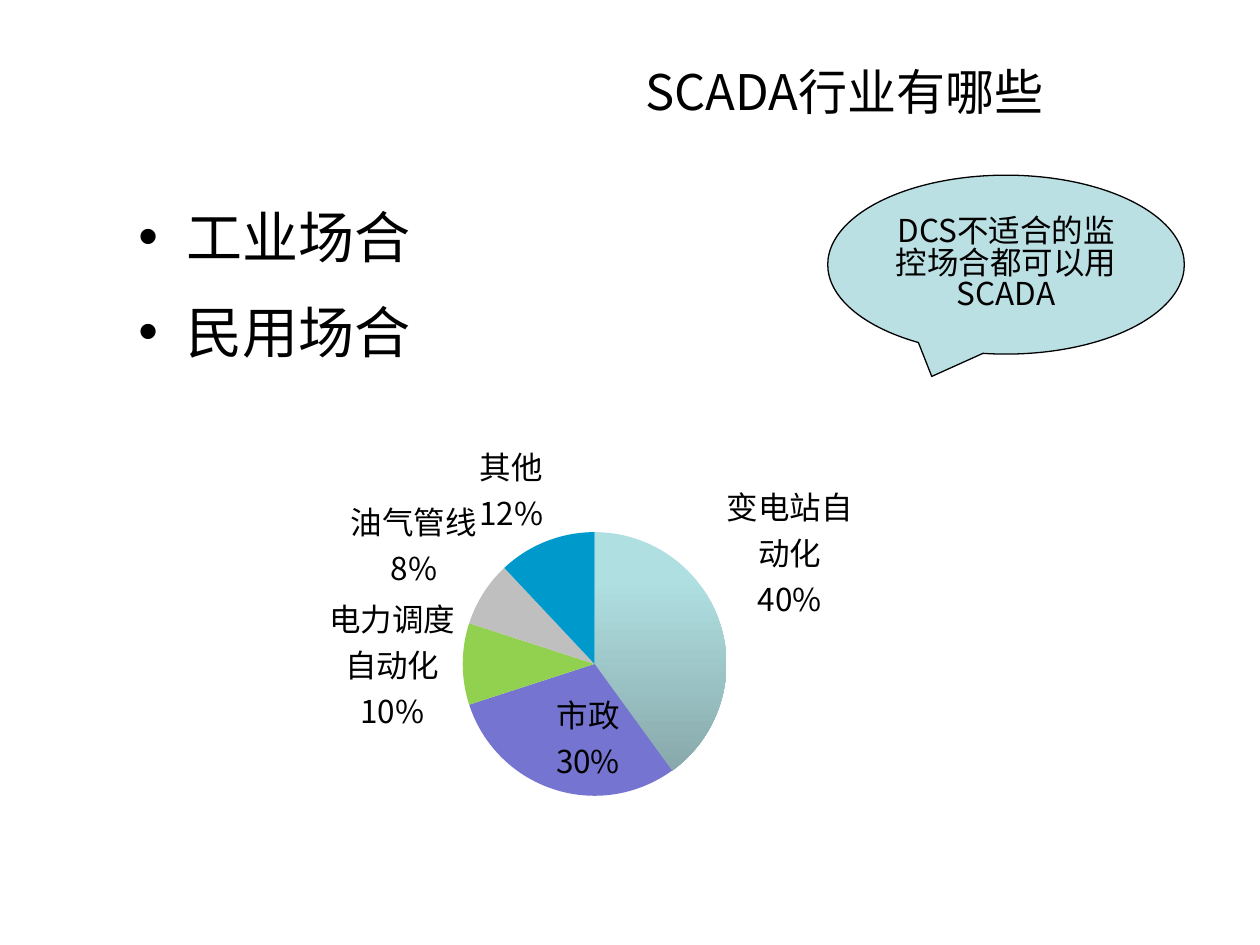
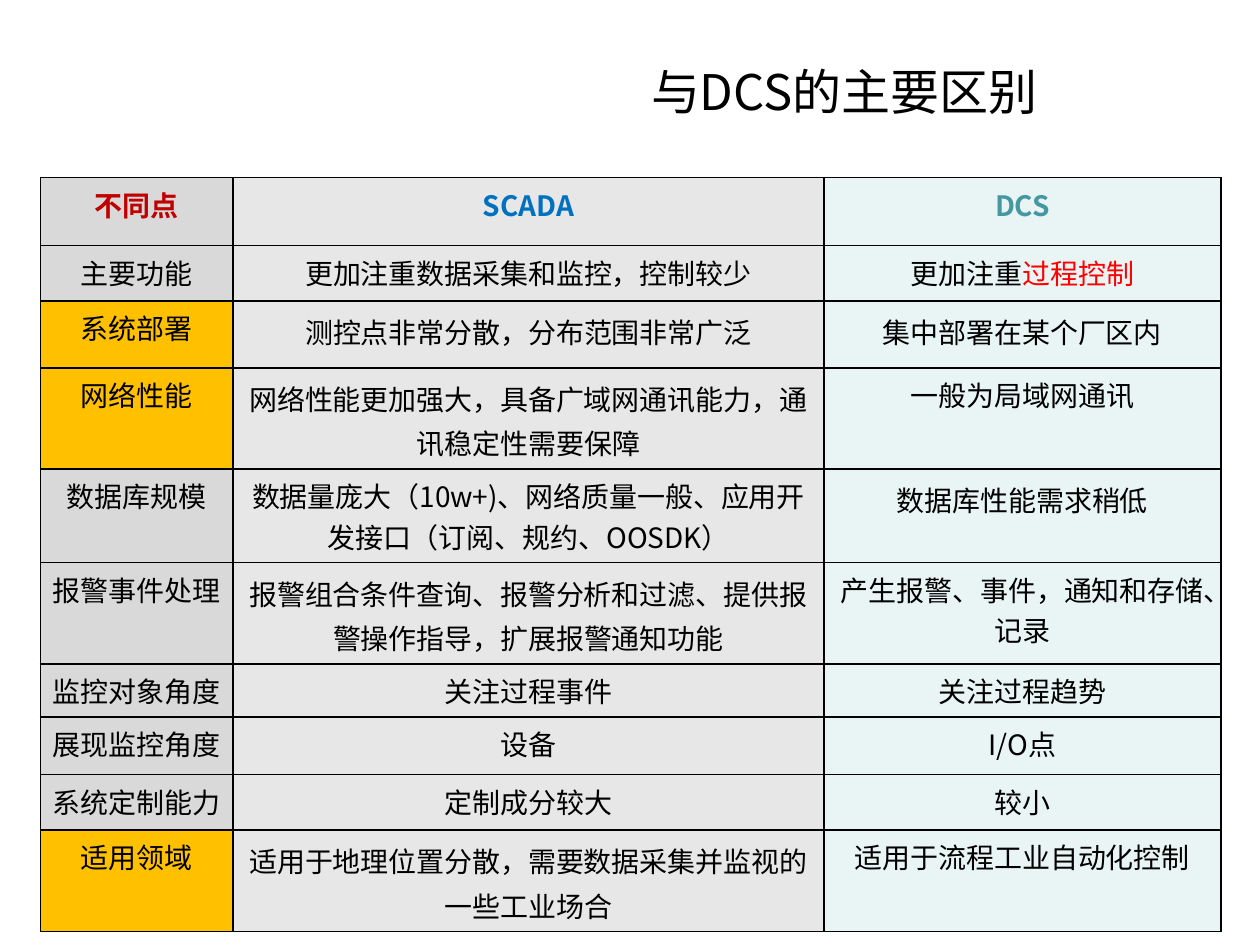
from dataclasses import dataclass

from lxml import etree
from pptx import Presentation
from pptx.chart.data import CategoryChartData
from pptx.dml.color import RGBColor
from pptx.enum.chart import XL_CHART_TYPE, XL_LABEL_POSITION
from pptx.enum.shapes import MSO_SHAPE
from pptx.enum.text import MSO_ANCHOR, PP_ALIGN
from pptx.oxml import parse_xml
from pptx.oxml.ns import nsdecls, qn
from pptx.util import Inches, Pt

CENTER, LEFT = PP_ALIGN.CENTER, PP_ALIGN.LEFT
MIDDLE = MSO_ANCHOR.MIDDLE
PIE = XL_CHART_TYPE.PIE
OUTSIDE_END, INSIDE_END = XL_LABEL_POSITION.OUTSIDE_END, XL_LABEL_POSITION.INSIDE_END
CALLOUT = MSO_SHAPE.OVAL_CALLOUT


@dataclass(frozen=True)
class Theme:
    font: str = "Noto Sans CJK SC"
    title_size: int = 28
    bullet_size: int = 32
    label_size: int = 18
    cell_size: int = 16
    black: str = "000000"
    teal: str = "BBE0E3"
    teal_light: str = "B0DFE1"
    teal_dark: str = "88A9AB"
    teal_text: str = "4597A0"
    violet: str = "7575D1"
    green: str = "92D050"
    silver: str = "BFBFBF"
    blue: str = "0099CC"
    blue_text: str = "0070C0"
    dark_red: str = "C00000"
    red: str = "FF0000"
    amber: str = "FFC000"
    gray: str = "D9D9D9"
    light_gray: str = "E7E7E7"
    pale_teal: str = "E9F4F5"


T = Theme()


def add_run(p, text, size, color=T.black, bold=False):
    r = p.add_run()
    r.text = text
    r.font.size = Pt(size)
    r.font.bold = bold
    r.font.name = T.font
    r.font.color.rgb = RGBColor.from_string(color)
    etree.SubElement(r.font._element, qn("a:ea"), typeface=T.font)


def add_titled_slide(prs, title):
    s = prs.slides.add_slide(prs.slide_layouts[5])
    sp = s.shapes.title
    sp.left, sp.top, sp.width, sp.height = Inches(3.9), Inches(0.38), Inches(5.6), Inches(0.69)
    sp.text_frame.vertical_anchor = MIDDLE
    p = sp.text_frame.paragraphs[0]
    p.alignment = CENTER
    add_run(p, title, T.title_size)
    return s


prs = Presentation()
prs.slide_width, prs.slide_height = Inches(10), Inches(7.5)

# Slide 1: industries
s = add_titled_slide(prs, "SCADA行业有哪些")

tf = s.shapes.add_textbox(Inches(1), Inches(1.43), Inches(9), Inches(5.55)).text_frame
tf.word_wrap = True
for i, occasion in enumerate(["工业场合", "民用场合"]):
    p = tf.paragraphs[0] if i == 0 else tf.add_paragraph()
    pPr = p._p.get_or_add_pPr()
    pPr.set("marL", str(Inches(0.38)))
    pPr.set("indent", str(-Inches(0.38)))
    etree.SubElement(pPr, qn("a:buFont"), typeface="Arial")
    etree.SubElement(pPr, qn("a:buChar"), char="•")
    p.alignment = LEFT
    p.line_spacing = 1.24
    if i:
        p.space_before = Pt(6.4)
    add_run(p, occasion, T.bullet_size)

industries = [
    ("变电站自动化", 40, T.teal),
    ("市政", 30, T.violet),
    ("电力调度自动化", 10, T.green),
    ("油气管线", 8, T.silver),
    ("其他", 12, T.blue),
]
data = CategoryChartData()
data.categories = [name for name, _, _ in industries]
data.add_series("Series 1", [share for _, share, _ in industries])
chart = s.shapes.add_chart(PIE, Inches(1.46), Inches(3.2), Inches(5.98), Inches(4.02), data).chart
chart.has_legend = False
chart.has_title = False
chart.font.name = "Arial"
chart.font.size = Pt(T.label_size)
chart.font.color.rgb = RGBColor.from_string(T.black)

plot = chart.plots[0]
plot.vary_by_categories = True
series = plot.series[0]
for i, (_, _, color) in enumerate(industries):
    fill = series.points[i].format.fill
    fill.solid()
    fill.fore_color.rgb = RGBColor.from_string(color)

fill = series.points[0].format.fill
fill.gradient()
fill.gradient_angle = 270
for stop, position, color in zip(fill.gradient_stops, (0.2, 1), (T.teal_light, T.teal_dark)):
    stop.position = position
    stop.color.rgb = RGBColor.from_string(color)

labels = series.data_labels
labels.number_format = "0%"
labels.number_format_is_linked = False
labels.position = OUTSIDE_END
municipal = series.points[1].data_label
municipal.position = INSIDE_END
for font in (labels.font, municipal.font):
    font.size = Pt(T.label_size)
    font.name = T.font
    font.color.rgb = RGBColor.from_string(T.black)

# Category and percentage on separate lines, for the series and the single point
dLbls = labels._element
for el in [dLbls, *dLbls.findall(qn("c:dLbl"))]:
    for tag, shown in (("c:showVal", "0"), ("c:showCatName", "1"), ("c:showPercent", "1")):
        el.find(qn(tag)).set("val", shown)
    separator = etree.Element(qn("c:separator"))
    separator.text = "\n"
    el.find(qn("c:showBubbleSize")).addnext(separator)

plot_area = chart._chartSpace.chart.plotArea
for old in plot_area.findall(qn("c:layout")):
    plot_area.remove(old)
plot_area.insert(0, parse_xml(
    f'<c:layout {nsdecls("c")}><c:manualLayout><c:layoutTarget val="inner"/>'
    '<c:xMode val="edge"/><c:yMode val="edge"/><c:x val="0.37"/><c:y val="0.25"/>'
    '<c:w val="0.35"/><c:h val="0.53"/></c:manualLayout></c:layout>'))

sp = s.shapes.add_shape(CALLOUT, Inches(6.57), Inches(1.39), Inches(2.83), Inches(1.42))
sp.shadow.inherit = False
sp.fill.solid()
sp.fill.fore_color.rgb = RGBColor.from_string(T.teal)
sp.line.color.rgb = RGBColor.from_string(T.black)
sp.line.width = Pt(0.75)
tf = sp.text_frame
tf.word_wrap = True
tf.vertical_anchor = MIDDLE
p = tf.paragraphs[0]
p.alignment = CENTER
p.line_spacing = 0.83
add_run(p, "DCS不适合的监控场合都可以用SCADA", T.label_size)

# Slide 2: comparison table
s = add_titled_slide(prs, "与DCS的主要区别")

col_widths = [1.53, 4.69, 3.15]
row_heights = [0.54, 0.44, 0.53, 0.69, 0.72, 0.69, 0.38, 0.46, 0.44, 0.69]
rows = [
    ("不同点", "SCADA", "DCS"),
    ("主要功能", "更加注重数据采集和监控，控制较少", "更加注重过程控制"),
    ("系统部署", "测控点非常分散，分布范围非常广泛", "集中部署在某个厂区内"),
    ("网络性能", "网络性能更加强大，具备广域网通讯能力，通讯稳定性需要保障", "一般为局域网通讯"),
    ("数据库规模", "数据量庞大（10w+)、网络质量一般、应用开发接口（订阅、规约、OOSDK）", "数据库性能需求稍低"),
    ("报警事件处理", "报警组合条件查询、报警分析和过滤、提供报警操作指导，扩展报警通知功能",
     "产生报警、事件，通知和存储、记录"),
    ("监控对象角度", "关注过程事件", "关注过程趋势"),
    ("展现监控角度", "设备", "I/O点"),
    ("系统定制能力", "定制成分较大", "较小"),
    ("适用领域", "适用于地理位置分散，需要数据采集并监视的一些工业场合", "适用于流程工业自动化控制"),
]
header_colors = [T.dark_red, T.blue_text, T.teal_text]
col_fills = [T.gray, T.light_gray, T.pale_teal]
key_rows = {"系统部署", "网络性能", "适用领域"}
loose_cells = {(2, 1), (2, 2), (3, 1), (4, 2), (5, 1), (9, 1)}
emphasis = "过程控制"

table = s.shapes.add_table(len(rows), len(col_widths), Inches(0.32), Inches(1.41),
                           Inches(sum(col_widths)), Inches(sum(row_heights))).table
table.first_row = False
table.horz_banding = False
for col, width in zip(table.columns, col_widths):
    col.width = Inches(width)
for row, height in zip(table.rows, row_heights):
    row.height = Inches(height)

for i, texts in enumerate(rows):
    for j, text in enumerate(texts):
        cell = table.cell(i, j)
        tcPr = cell._tc.get_or_add_tcPr()
        for side in ("lnL", "lnR", "lnT", "lnB"):
            tcPr.append(parse_xml(
                f'<a:{side} {nsdecls("a")} w="{Pt(1)}"><a:solidFill>'
                f'<a:srgbClr val="{T.black}"/></a:solidFill></a:{side}>'))
        cell.fill.solid()
        is_key = j == 0 and text in key_rows
        cell.fill.fore_color.rgb = RGBColor.from_string(T.amber if is_key else col_fills[j])
        p = cell.text_frame.paragraphs[0]
        p.alignment = CENTER
        if (i, j) in loose_cells:
            p.line_spacing = 1.1
        lead, mark, _ = text.partition(emphasis)
        add_run(p, lead, T.cell_size, T.black if i else header_colors[j], bold=i == 0)
        if mark:
            add_run(p, mark, T.cell_size, T.red)

prs.save("out.pptx")
